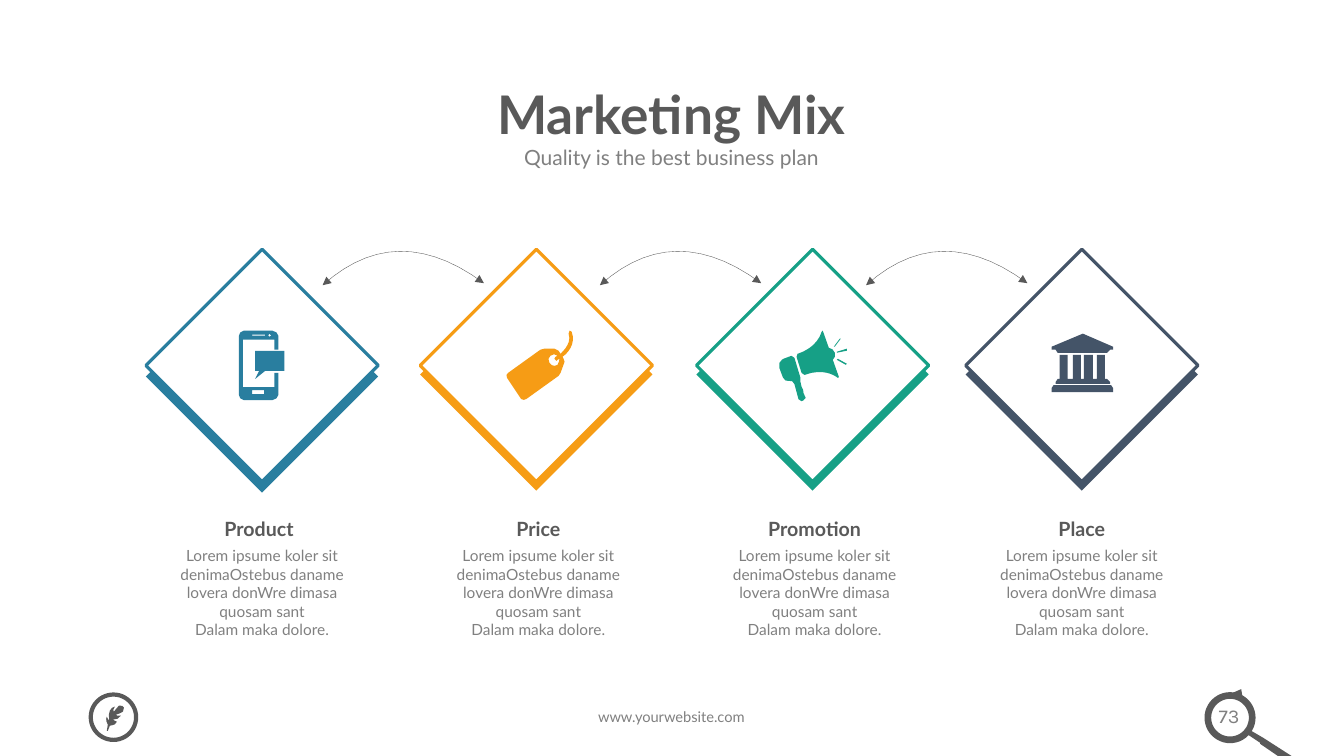
import math

from lxml import etree
from pptx import Presentation
from pptx.dml.color import RGBColor
from pptx.enum import shapes, text
from pptx.oxml.ns import qn
from pptx.util import Inches, Pt

# Content
TITLE = "Marketing Mix"
SUBTITLE = "Quality is the best business plan"
BODY = ["Lorem ipsume koler sit denimaOstebus daname lovera donWre dimasa quosam sant",
        "Dalam maka dolore."]
WEBSITE = "www.yourwebsite.com"
PAGE = "73"
COLORS = {"dark": "595959", "grey": "808080", "white": "FFFFFF", "product": "297E9F",
          "price": "F69C15", "promotion": "16A086", "place": "445468"}
# heading, heading centre, body centre, diamond centre, drop of the lower diamond
STEPS = [
    ("Product", 2.57, 2.6, 2.6, 0.11),
    ("Price", 5.34, 5.34, 5.32, 0.09),
    ("Promotion", 8.08, 8.08, 8.06, 0.09),
    ("Place", 10.73, 10.73, 10.73, 0.09),
]
ARROW_STARTS = [3.2, 5.95, 8.59]

# Outlines in inches: M starts, L draws lines, C draws curves
ARROW = "M 0,2.83 C 0.49,2.39 1.02,2.38 1.6,2.81"
LENS_HANDLE = """
M 12.41,7.25 L 12.53,7.32 12.92,7.57 12.94,7.6 12.92,7.62 12.9,7.64 12.88,7.64
12.5,7.38 12.5,7.37 12.38,7.29"""
FEATHER = """
M 1.07,7.25 L 1.09,7.2 C 1.12,7.19 1.14,7.2 1.16,7.16 L 1.12,7.14
C 1.12,7.13 1.17,7.15 1.2,7.1 1.16,7.11 1.15,7.09 1.15,7.09 1.17,7.08 1.2,7.08 1.22,7.06
L 1.23,7.02 C 1.23,7.01 1.2,6.99 1.18,7 1.17,7 1.14,7.06 1.13,7.06
1.12,7.06 1.12,7.03 1.14,7.01 1.12,7.01 1.1,7.03 1.09,7.05 1.07,7.08 1.09,7.15 1.08,7.15
L 1.06,7.11 C 1.05,7.13 1.05,7.15 1.07,7.19 L 1.06,7.25"""
PHONE = """
M 2.72,3.84 L 2.41,3.84 2.41,3.37 2.72,3.37 2.72,3.47 2.76,3.47 2.76,3.33
C 2.76,3.31 2.73,3.28 2.7,3.28 L 2.42,3.28 C 2.39,3.28 2.37,3.31 2.37,3.33
L 2.37,3.92 C 2.37,3.94 2.39,3.97 2.42,3.97 L 2.7,3.97 C 2.73,3.97 2.76,3.94 2.76,3.92
L 2.76,3.7 2.72,3.7
M 2.67,3.31 L 2.69,3.33 2.67,3.34 2.66,3.33
M 2.5,3.32 L 2.63,3.32 2.63,3.33 2.5,3.33
M 2.62,3.91 L 2.5,3.91 2.5,3.87 2.62,3.87"""
BUBBLE = "M 2.53,3.68 L 2.57,3.68 2.53,3.76 2.63,3.68 2.82,3.68 2.82,3.48 2.53,3.48"
TAG = """
M 5.53,3.62 C 5.5,3.64 5.47,3.63 5.45,3.6 5.43,3.58 5.44,3.54 5.46,3.53
5.48,3.51 5.51,3.51 5.53,3.53 L 5.51,3.54 5.5,3.56 5.52,3.58 5.53,3.57 5.55,3.56
C 5.55,3.58 5.54,3.6 5.53,3.62
M 5.67,3.29 L 5.65,3.28 5.64,3.31 C 5.67,3.4 5.6,3.47 5.56,3.51
L 5.54,3.48 5.5,3.46 5.4,3.46 5.36,3.47 5.04,3.7 C 5.02,3.71 5.02,3.73 5.03,3.75
L 5.17,3.96 C 5.19,3.97 5.2,3.97 5.22,3.96 L 5.54,3.73 5.56,3.7 5.6,3.59 5.59,3.56 5.58,3.54
C 5.65,3.49 5.71,3.4 5.67,3.29"""
HANDLE = """
M 7.94,3.79 L 7.94,3.75 7.88,3.55 7.85,3.53 7.77,3.56 C 7.77,3.56 7.71,3.59 7.73,3.65
L 7.76,3.73 C 7.76,3.73 7.78,3.8 7.84,3.78 7.84,3.78 7.87,3.77 7.88,3.81
L 7.92,3.96 7.95,3.98 C 7.95,3.98 8.03,3.96 7.97,3.9 7.98,3.87 7.94,3.84 7.94,3.79"""
HORN = """
M 8.26,3.57 C 8.28,3.55 8.29,3.53 8.28,3.5 8.27,3.47 8.25,3.46 8.22,3.45
L 8.16,3.28 8.15,3.29 C 8.1,3.46 7.91,3.51 7.91,3.51 L 7.9,3.54 7.95,3.7 7.98,3.72
C 8.19,3.64 8.31,3.75 8.31,3.75 L 8.32,3.74"""
SOUND = """
M 8.34,3.36 L 8.33,3.36 8.27,3.44 8.28,3.44
M 8.3,3.57 L 8.39,3.62 8.4,3.61 8.31,3.56
M 8.3,3.5 L 8.4,3.48 8.4,3.46 8.3,3.49"""
BANK = """
M 11.04,3.44 L 11.04,3.47 11.01,3.47 10.98,3.5 10.49,3.5 10.47,3.47 10.43,3.47 10.43,3.44 10.74,3.31
M 11.04,3.85 L 11.04,3.89 10.43,3.89 10.43,3.85 10.45,3.82 11.02,3.82
M 10.59,3.52 L 10.59,3.76 10.64,3.76 10.64,3.52 10.72,3.52 10.72,3.76 10.75,3.76 10.75,3.52
10.84,3.52 10.84,3.76 10.88,3.76 10.88,3.52 10.96,3.52 10.96,3.76 10.98,3.76
11.01,3.79 11.01,3.81 10.47,3.81 10.47,3.79 10.49,3.76 10.51,3.76 10.51,3.52"""
ICONS = {"product": [PHONE, BUBBLE], "price": [TAG],
         "promotion": [HANDLE, HORN, SOUND], "place": [BANK]}

prs = Presentation()
prs.slide_width, prs.slide_height = Inches(13.33), Inches(7.5)
s = prs.slides.add_slide(prs.slide_layouts[5])


def rgb(name):
    return RGBColor.from_string(COLORS[name])


def paint(sp, fill=None, line=None, width=1):
    sp.shadow.inherit = False
    if fill:
        sp.fill.solid()
        sp.fill.fore_color.rgb = rgb(fill)
    else:
        sp.fill.background()
    if line:
        sp.line.color.rgb = rgb(line)
        sp.line.width = Pt(width)
    else:
        sp.line.fill.background()
    return sp


def add_preset(kind, left, top, size, rotation=0, **look):
    sp = s.shapes.add_shape(kind, Inches(left), Inches(top), Inches(size), Inches(size))
    sp.rotation = rotation
    return paint(sp, **look)


def contours(path):
    """Turn an outline into lists of points; longer curves get more points."""
    parts, op, held = [], "", []
    for token in path.split():
        if token.isalpha():
            op = token
            continue
        held.append(tuple(float(v) for v in token.split(",")))
        if op == "M":
            parts.append(held)
        elif op == "L":
            parts[-1] += held
        elif len(held) < 3:
            continue
        else:
            curve = [parts[-1][-1]] + held
            steps = min(14, 1 + int(math.dist(curve[0], curve[3]) / 0.04))
            for t in (i / steps for i in range(1, steps + 1)):
                w = ((1 - t) ** 3, 3 * t * (1 - t) ** 2, 3 * t * t * (1 - t), t ** 3)
                parts[-1].append(tuple(sum(k * p[a] for k, p in zip(w, curve)) for a in (0, 1)))
        held = []
    return parts


def draw(path, dx=0, close=True, **look):
    builder = None
    for part in contours(path):
        pts = [(Inches(x + dx), Inches(y)) for x, y in part]
        if builder is None:
            builder = s.shapes.build_freeform(*pts[0], scale=1.0)
        else:
            builder.move_to(*pts[0])
        builder.add_line_segments(pts[1:], close=close)
    return paint(builder.convert_to_shape(), **look)


def write(sp, lines, size, color, bold=False, font="Lato", spacing=None):
    tf = sp.text_frame
    for i, line in enumerate(lines):
        p = tf.paragraphs[0] if i == 0 else tf.add_paragraph()
        p.alignment = text.PP_ALIGN.CENTER
        p.line_spacing = spacing
        r = p.add_run()
        r.text = line
        r.font.name, r.font.size, r.font.bold = font, Pt(size), bold
        r.font.color.rgb = rgb(color)


def add_text(center, top, width, height, lines, size, color, wrap=True, **look):
    sp = s.shapes.add_textbox(Inches(center - width / 2), Inches(top), Inches(width), Inches(height))
    sp.text_frame.word_wrap = wrap
    sp.text_frame.auto_size = text.MSO_AUTO_SIZE.SHAPE_TO_FIT_TEXT
    write(sp, lines, size, color, **look)
    return sp


# Title and subtitle
title = s.shapes.title
title.left, title.top, title.width, title.height = map(Inches, (1.66, 0.75, 10, 0.82))
title.text_frame.vertical_anchor = text.MSO_ANCHOR.MIDDLE
title.text_frame.auto_size = text.MSO_AUTO_SIZE.NONE
write(title, [TITLE], 38, "dark", bold=True, spacing=0.9)
tf = add_text(6.66, 1.36, 7.99, 0.39, [SUBTITLE], 15, "grey").text_frame
tf.margin_top = tf.margin_bottom = Inches(0.07)

# Double-headed arrows between the steps
for start in ARROW_STARTS:
    arrow = draw(ARROW, dx=start, close=False, line="dark", width=0.25)
    ln = arrow.element.spPr.find(qn("a:ln"))
    for end in ("a:headEnd", "a:tailEnd"):
        etree.SubElement(ln, qn(end), type="triangle")

# Steps: diamonds, icon, heading and body
SIDE, DIAMOND_TOP = 1.63, 2.81
for heading, head_x, body_x, diamond_x, drop in STEPS:
    key = heading.lower()
    left = diamond_x - SIDE / 2
    add_preset(shapes.MSO_SHAPE.RECTANGLE, left, DIAMOND_TOP + drop, SIDE, 315, fill=key)
    add_preset(shapes.MSO_SHAPE.RECTANGLE, left, DIAMOND_TOP, SIDE, 315,
               fill="white", line=key, width=2.25)
    for outline in ICONS[key]:
        draw(outline, fill=key)
    add_text(head_x, 4.96, 1.2, 0.45, [heading], 14, "dark", wrap=False, bold=True, spacing=1.5)
    add_text(body_x, 5.37, 2.24, 0.84, BODY, 11, "grey")

# Footer: feather badge, website, page number in a magnifier
add_preset(shapes.MSO_SHAPE.OVAL, 0.9, 6.89, 0.45, line="dark", width=3)
draw(FEATHER, fill="dark")
add_text(6.66, 6.97, 4.83, 0.29, [WEBSITE], 10.5, "grey")
add_text(12.19, 6.93, 0.61, 0.34, [PAGE], 14, "grey", font="Karla")
tip = add_preset(shapes.MSO_SHAPE.RIGHT_ARROW, 12.23, 6.83, 0.11, 298.7, fill="dark")
tip.adjustments[0], tip.adjustments[1] = 0.32, 0.64
add_preset(shapes.MSO_SHAPE.OVAL, 11.98, 6.9, 0.44, line="dark", width=4.75)
draw(LENS_HANDLE, fill="dark")

prs.save("out.pptx")
